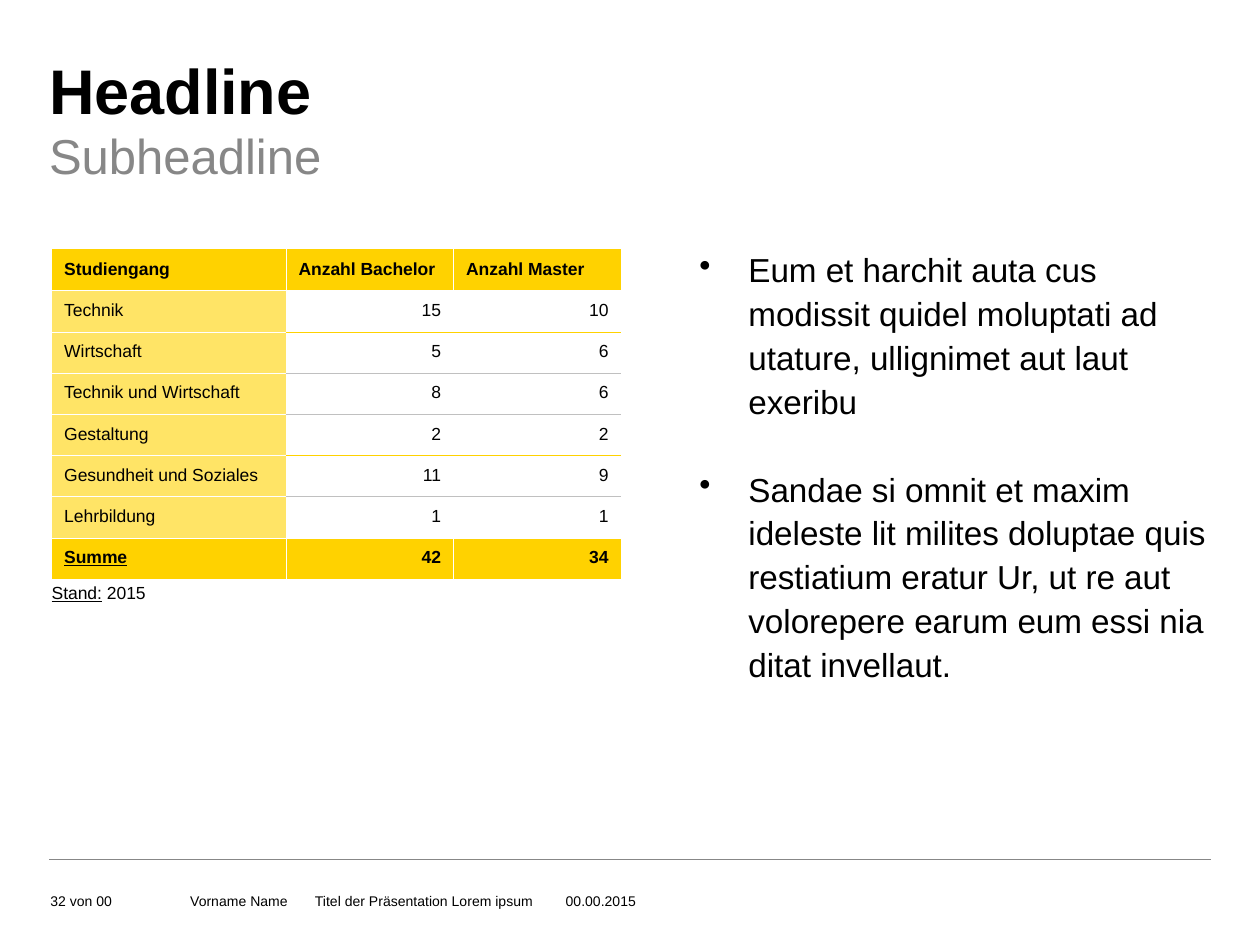
from dataclasses import dataclass

from lxml import etree
from pptx import Presentation
from pptx import util as u
from pptx.dml.color import RGBColor
from pptx.enum import shapes, text
from pptx.oxml.ns import qn


@dataclass(frozen=True)
class Theme:
    font: str = "Arial"
    black: str = "000000"
    grey: str = "878787"
    light_grey: str = "C0C0C0"
    white: str = "FFFFFF"
    yellow: str = "FFD200"
    pale_yellow: str = "FFE466"
    headline: int = 36
    subheadline: int = 28
    body: int = 19
    table: int = 10
    footer: int = 8
    hairline: float = 0.5


THEME = Theme()
NO_TABLE_STYLE = "{2D5ABB26-0587-4C30-8999-92F81FD0307C}"
ROWS = [
    ("Studiengang", "Anzahl Bachelor", "Anzahl Master"),
    ("Technik", "15", "10"),
    ("Wirtschaft", "5", "6"),
    ("Technik und Wirtschaft", "8", "6"),
    ("Gestaltung", "2", "2"),
    ("Gesundheit und Soziales", "11", "9"),
    ("Lehrbildung", "1", "1"),
    ("Summe", "42", "34"),
]
COLUMN_WIDTHS = (1.86, 1.33, 1.33)
# Rule below each row, in the number columns
RULES = (THEME.white, THEME.yellow, THEME.light_grey, THEME.light_grey,
         THEME.yellow, THEME.light_grey, THEME.white)
BULLETS = [
    "Eum et harchit auta cus modissit quidel moluptati ad utature, "
    "ullignimet aut laut exeribu",
    "Sandae si omnit et maxim ideleste lit milites doluptae quis "
    "restiatium eratur Ur, ut re aut volorepere earum eum essi nia "
    "ditat invellaut.",
]


def style_font(paragraph, size, color=THEME.black, bold=False):
    font = paragraph.font
    font.name, font.size, font.bold = THEME.font, u.Pt(size), bold
    font.color.rgb = RGBColor.from_string(color)


def add_text(slide, box, paragraphs, size, color=THEME.black, bold=False,
             anchor=text.MSO_ANCHOR.TOP):
    frame = slide.shapes.add_textbox(*map(u.Inches, box)).text_frame
    frame.word_wrap = True
    frame.vertical_anchor = anchor
    frame.margin_left = frame.margin_right = 0
    frame.margin_top = frame.margin_bottom = 0
    frame.text = "\n".join(paragraphs)
    for paragraph in frame.paragraphs:
        style_font(paragraph, size, color, bold)
    return frame


def add_bullets(slide, box, items):
    frame = add_text(slide, box, items, THEME.body)
    for index, paragraph in enumerate(frame.paragraphs):
        paragraph.line_spacing = 1.1
        paragraph.space_before = u.Pt(25 if index else 0)
        properties = paragraph._p.get_or_add_pPr()
        properties.set("marL", str(u.Inches(0.39)))
        properties.set("indent", str(-u.Inches(0.39)))
        bullet = etree.Element(qn("a:buChar"), char="•")
        properties.find(qn("a:defRPr")).addprevious(bullet)


def add_footer(slide, box, parts, stops):
    frame = add_text(slide, box, ["\t".join(parts)], THEME.footer,
                     anchor=text.MSO_ANCHOR.BOTTOM)
    properties = frame.paragraphs[0]._p.get_or_add_pPr()
    tabs = etree.Element(qn("a:tabLst"))
    for stop in stops:
        etree.SubElement(tabs, qn("a:tab"), pos=str(u.Inches(stop)), algn="l")
    properties.find(qn("a:defRPr")).addprevious(tabs)


def set_borders(cell, borders):
    """Borders map L, R, T, B to a colour."""
    properties = cell._tc.get_or_add_tcPr()
    position = 0
    for side in "LRTB":
        if side in borders:
            line = etree.Element(qn(f"a:ln{side}"),
                                 w=str(u.Pt(THEME.hairline)))
            fill = etree.SubElement(line, qn("a:solidFill"))
            etree.SubElement(fill, qn("a:srgbClr"), val=borders[side])
            properties.insert(position, line)
            position += 1


def fill_cell(cell, value, row, column):
    last_row, last_column = len(ROWS) - 1, len(COLUMN_WIDTHS) - 1
    is_band = row in (0, last_row)
    cell.margin_left = cell.margin_right = u.Inches(0.1)
    cell.margin_top = cell.margin_bottom = u.Inches(0.08)
    cell.text = value
    paragraph = cell.text_frame.paragraphs[0]
    style_font(paragraph, THEME.table, bold=is_band)
    paragraph.font.underline = row == last_row and column == 0
    if row and column:
        paragraph.alignment = text.PP_ALIGN.RIGHT

    if is_band or column == 0:
        cell.fill.solid()
        cell.fill.fore_color.rgb = RGBColor.from_string(
            THEME.yellow if is_band else THEME.pale_yellow)
    else:
        cell.fill.background()

    borders = {}
    if row:
        borders["T"] = RULES[row - 1] if column else THEME.white
    if row < last_row:
        borders["B"] = RULES[row] if column else THEME.white
    if is_band and column:
        borders["L"] = THEME.white
    if is_band and column < last_column:
        borders["R"] = THEME.white
    set_borders(cell, borders)


def add_degree_table(slide):
    height = 0.31
    table = slide.shapes.add_table(
        len(ROWS), len(COLUMN_WIDTHS), u.Inches(0.41), u.Inches(1.98),
        u.Inches(sum(COLUMN_WIDTHS)), u.Inches(height * len(ROWS))).table
    table._tbl.tblPr.find(qn("a:tableStyleId")).text = NO_TABLE_STYLE
    table.horz_banding = False
    for column, width in zip(table.columns, COLUMN_WIDTHS):
        column.width = u.Inches(width)
    for row, values in enumerate(ROWS):
        table.rows[row].height = u.Inches(height)
        for column, value in enumerate(values):
            fill_cell(table.cell(row, column), value, row, column)


def add_rule(slide, left, right, y):
    line = slide.shapes.add_connector(
        shapes.MSO_CONNECTOR.STRAIGHT, *map(u.Inches, (left, y, right, y)))
    line.line.color.rgb = RGBColor.from_string(THEME.grey)
    line.line.width = u.Pt(THEME.hairline)
    etree.SubElement(line._element.spPr, qn("a:effectLst"))


def add_date_note(slide):
    frame = add_text(slide, (0.41, 4.62, 4.51, 0.39), [""], THEME.table)
    paragraph = frame.paragraphs[0]
    for value, underlined in (("Stand:", True), (" 2015", False)):
        run = paragraph.add_run()
        run.text = value
        run.font.underline = underlined


def main():
    presentation = Presentation()
    presentation.slide_width = u.Inches(10)
    presentation.slide_height = u.Inches(7.5)
    slide = presentation.slides.add_slide(presentation.slide_layouts[6])

    # Headings
    add_text(slide, (0.39, 0.41, 6.97, 0.62), ["Headline"],
             THEME.headline, bold=True)
    subheadline = add_text(slide, (0.39, 0.95, 6.97, 0.55), ["Subheadline"],
                           THEME.subheadline, THEME.grey)
    subheadline.paragraphs[0].line_spacing = 1.1

    # Content
    add_degree_table(slide)
    add_date_note(slide)
    add_bullets(slide, (5.55, 1.95, 4.06, 4.4), BULLETS)

    # Footer
    add_rule(slide, 0.39, 9.61, 6.82)
    add_text(slide, (0.4, 6.9, 1.06, 0.32), ["32 von 00"], THEME.footer,
             anchor=text.MSO_ANCHOR.BOTTOM)
    add_footer(slide, (1.51, 6.9, 7.43, 0.32),
               ("Vorname Name", "Titel der Präsentation Lorem ipsum",
                "00.00.2015"), (0.99, 2.98))

    presentation.save("out.pptx")


if __name__ == "__main__":
    main()
